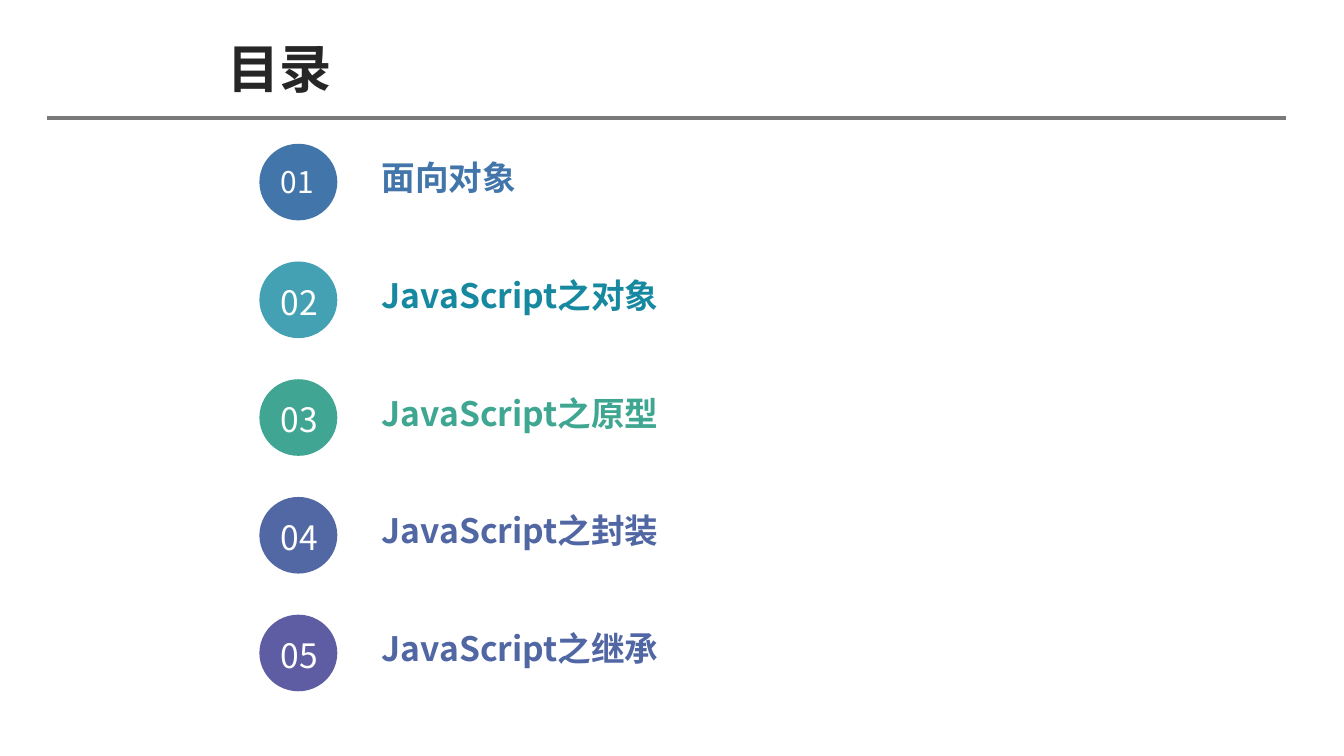
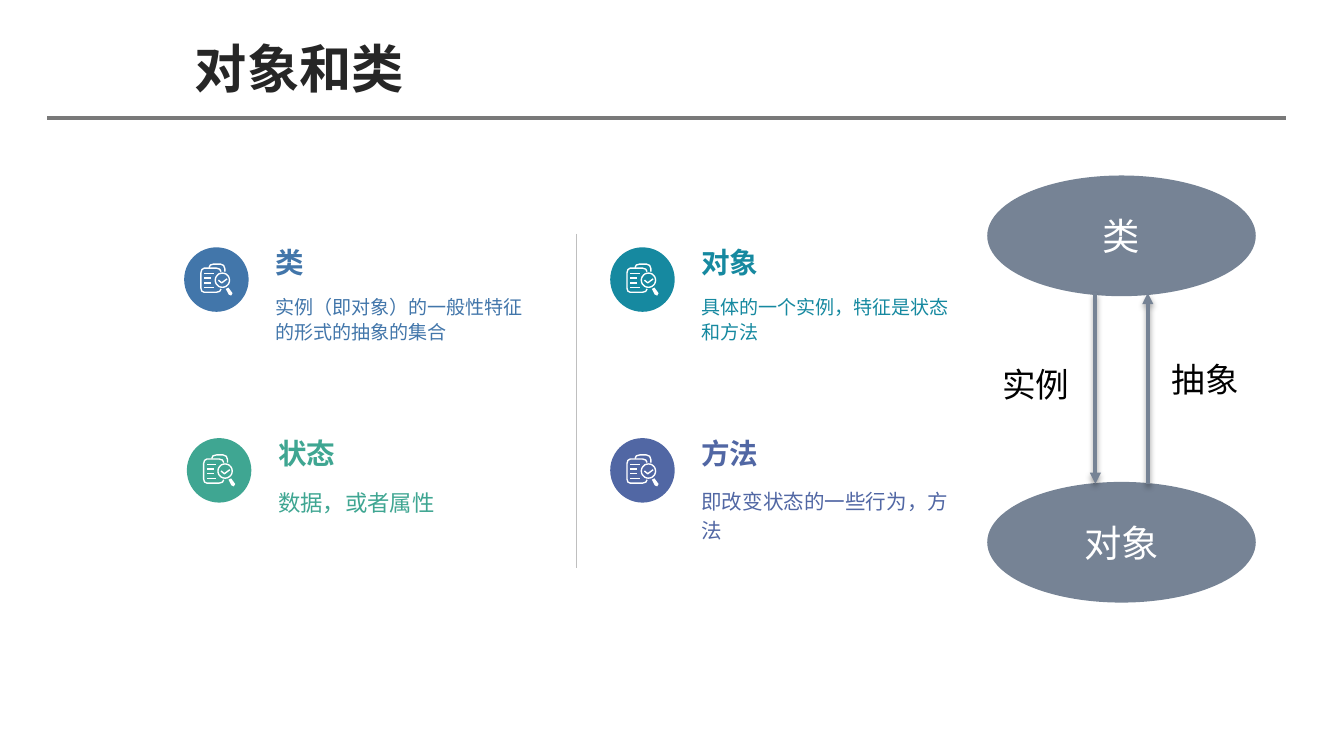
import math
from dataclasses import dataclass

from lxml import etree
from pptx import Presentation
from pptx.dml.color import RGBColor
from pptx.enum import shapes, text
from pptx.oxml import ns
from pptx.util import Inches, Pt


@dataclass(frozen=True)
class Theme:
    font: str = "Noto Sans CJK SC"
    plain: str = "Calibri"
    ink: str = "262626"
    black: str = "000000"
    white: str = "FFFFFF"
    rule: str = "797979"
    split: str = "BFBFBF"
    slate: str = "768395"
    blue: str = "4276AA"
    cyan: str = "44A0B3"
    teal: str = "1689A0"
    mint: str = "40A693"
    green: str = "3FA692"
    navy: str = "5268A5"
    indigo: str = "5167A4"
    violet: str = "5E5CA2"
    title: float = 28
    node: float = 20
    item: float = 18
    small: float = 16
    head: float = 15.3


T = Theme()
LEFT, MID = text.PP_ALIGN.LEFT, text.MSO_ANCHOR.MIDDLE
TOP, LOW = text.MSO_ANCHOR.TOP, text.MSO_ANCHOR.BOTTOM
OVAL = shapes.MSO_SHAPE.OVAL


def rgb(color):
    return RGBColor.from_string(color)


def box(*lengths):
    return [Inches(n) for n in lengths]


def sub(parent, tag, **attrs):
    return etree.SubElement(parent, ns.qn(tag), **attrs)


def write(shape, words, size, color, bold=False, font=T.font, align=LEFT,
          anchor=TOP, space=None):
    frame = shape.text_frame
    frame.word_wrap = True
    frame.auto_size = text.MSO_AUTO_SIZE.NONE
    frame.vertical_anchor = anchor
    par = frame.paragraphs[0]
    par.alignment = align
    if space:
        par.line_spacing = space
    run = par.add_run()
    run.text = words
    face = run.font
    face.size, face.bold, face.name = Pt(size), bold, font
    face.color.rgb = rgb(color)
    sub(face._element, "a:ea", typeface=T.font)
    return frame


def label(slide, at, words, size, color, **style):
    return write(slide.shapes.add_textbox(*box(*at)), words, size, color, **style)


def oval(slide, at, color, edge=0):
    shape = slide.shapes.add_shape(OVAL, *box(*at))
    shape.shadow.inherit = False
    shape.fill.solid()
    shape.fill.fore_color.rgb = rgb(color)
    if edge:
        shape.line.color.rgb = rgb(color)
        shape.line.width = Pt(edge)
    else:
        shape.line.fill.background()
    return shape


def line(slide, ends, color, width, arrow=False):
    """Draw a plain line, or an arrow with a soft shadow below it."""
    link = slide.shapes.add_connector(shapes.MSO_CONNECTOR.STRAIGHT, *box(*ends))
    link.line.color.rgb = rgb(color)
    link.line.width = Pt(width)
    spot = link._element.spPr
    effect = sub(spot, "a:effectLst")
    if arrow:
        sub(spot.find(ns.qn("a:ln")), "a:tailEnd", type="triangle")
        shade = sub(effect, "a:outerShdw", blurRad=str(Pt(3.1)), dist=str(Pt(1.6)),
                    dir="5400000", rotWithShape="0")
        sub(sub(shade, "a:srgbClr", val=T.black), "a:alpha", val="38000")


def page(deck, title, inset):
    slide = deck.slides.add_slide(deck.slide_layouts[5])
    head = slide.shapes.title
    head.left, head.top, head.width, head.height = box(0.35, 0.23, 9.21, 0.54)
    frame = write(head, title, T.title, T.ink, bold=True, anchor=MID)
    frame.margin_left = Inches(inset)
    line(slide, (0.35, 0.88, 9.57, 0.88), T.rule, 2.25)
    return slide


def entry(slide, x, y, num, words, disc, ink):
    oval(slide, (x, y, 0.58, 0.57), disc)
    size = T.small if num == 1 else T.item
    label(slide, (x + 0.06, y + 0.1, 0.53, 0.4), f"{num:02}", size, T.white)
    frame = label(slide, (x + 0.39, y + 0.16, 4.08, 0.24), words, T.item, ink,
                  bold=True, anchor=LOW)
    frame.margin_left = Inches(0.52)
    frame.margin_right = frame.margin_top = frame.margin_bottom = 0


def agenda(slide, x, y, height, rows):
    pitch = height / len(rows)
    for i, row in enumerate(rows):
        entry(slide, x, y + pitch * i, i + 1, *row)


LENS = [(165 + 53 * math.cos(a * math.pi / 12), 125 + 53 * math.sin(a * math.pi / 12))
        for a in range(25)]
STROKES = [
    [(155, 190), (145, 208), (120, 215), (30, 215), (12, 207), (5, 185), (5, 70),
     (12, 46), (30, 35), (120, 35), (145, 43), (155, 62)],
    [(65, 32), (75, 12), (100, 5), (150, 5), (174, 15), (183, 40), (183, 62)],
    [(30, 75), (100, 75)], [(30, 110), (80, 110)],
    [(30, 145), (80, 145)], [(30, 180), (100, 180)],
    LENS, [(135, 125), (160, 145), (200, 115)],
]
GRIP = [[(190, 190), (210, 180), (240, 222), (230, 240), (212, 232), (190, 190)]]


def trace(slide, x, y, paths):
    pen = slide.shapes.build_freeform(*paths[0][0], scale=Inches(0.01) / 10)
    for i, path in enumerate(paths):
        if i:
            pen.move_to(*path[0])
        pen.add_line_segments(path[1:], close=False)
    shape = pen.convert_to_shape(*box(x, y))
    shape.shadow.inherit = False
    shape.line.color.rgb = rgb(T.white)
    shape.line.width = Pt(0.75)
    return shape


def icon(slide, x, y):
    trace(slide, x, y, STROKES).fill.background()
    grip = trace(slide, x, y, GRIP)
    grip.fill.solid()
    grip.fill.fore_color.rgb = rgb(T.white)
    grip.line.fill.background()


def card(slide, x, y, head, body, color, size, space):
    label(slide, (x + 0.58, y + 0.32, 2.09, 0.46), body, size, color, space=space)
    label(slide, (x + 0.58, y, 2.09, 0.32), head, T.head, color, bold=True, anchor=LOW)
    oval(slide, (x, y + 0.03, 0.48, 0.48), color)
    icon(slide, x + 0.12, y + 0.15)


def cycle(slide, x, y):
    """Class and object, joined by an arrow each way."""
    for drop, words in ((0, "类"), (2.28, "对象")):
        node = oval(slide, (x, y + drop, 1.97, 0.87), T.slate, edge=2)
        write(node, words, T.node, T.white, align=text.PP_ALIGN.CENTER, anchor=MID)
    high, low = y + 0.86, y + 2.28
    line(slide, (x + 0.79, high, x + 0.79, low), T.slate, 2, arrow=True)
    line(slide, (x + 1.18, low, x + 1.18, high), T.slate, 2, arrow=True)
    for dx, dy, words in ((0, 1.34, "实例"), (1.26, 1.3, "抽象")):
        label(slide, (x + dx, y + dy, 0.71, 0.4), words, T.item, T.black, font=T.plain)


def main():
    deck = Presentation()
    deck.slide_width = Inches(10)
    deck.slide_height = deck.slide_width * 9 // 16

    agenda(page(deck, "目录", 1.34), 1.93, 1.07, 4.38, [
        ("面向对象", T.blue, T.blue),
        ("JavaScript之对象", T.cyan, T.teal),
        ("JavaScript之原型", T.mint, T.green),
        ("JavaScript之封装", T.navy, T.indigo),
        ("JavaScript之继承", T.violet, T.indigo),
    ])

    slide = page(deck, "对象和类", 1.1)
    cycle(slide, 7.36, 1.32)
    for x, y, *rest in (
        (1.37, 1.81, "类", "实例（即对象）的一般性特征的形式的抽象的集合", T.blue, 10.2, 1.1),
        (1.39, 3.23, "状态", "数据，或者属性", T.green, 12, 1.2),
        (4.54, 1.81, "对象", "具体的一个实例，特征是状态和方法", T.teal, 10.2, 1.1),
        (4.54, 3.23, "方法", "即改变状态的一些行为，方法", T.indigo, 11, 1.2),
    ):
        card(slide, x, y, *rest)
    line(slide, (4.29, 1.74, 4.29, 4.23), T.split, 0.25)
    deck.save("out.pptx")


if __name__ == "__main__":
    main()
